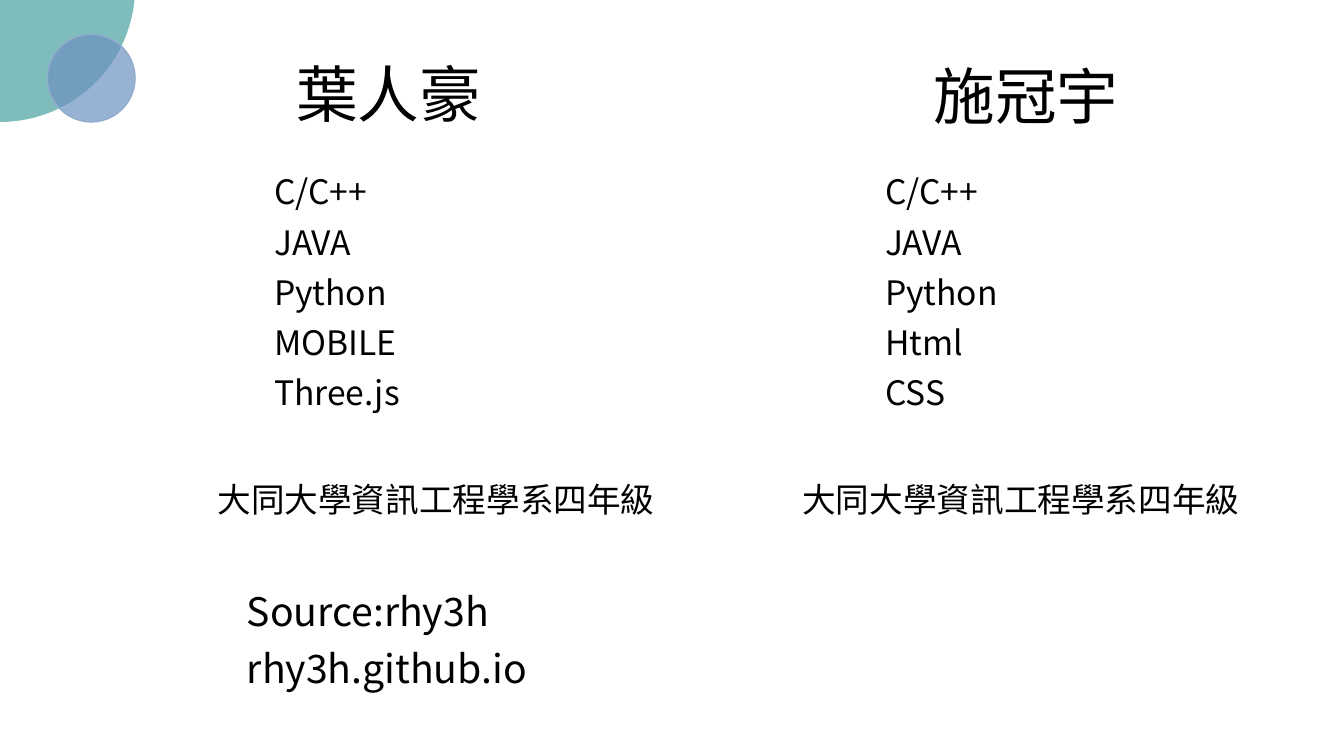
from dataclasses import dataclass

from lxml import etree
from pptx import Presentation, util as u
from pptx.dml import color
from pptx.enum import shapes, text
from pptx.oxml import ns


@dataclass(frozen=True)
class Theme:
    font: str = "Noto Sans CJK SC"
    ink: str = "000000"
    teal: str = "48A2A0"
    blue: str = "6C92C0"
    edge: str = "92ACCD"
    name: int = 44
    body: int = 24
    link: int = 28
    tight: float = 1.08  # line height as a share of type size
    loose: float = 1.2
    gap: int = 10
    alpha: int = 70


THEME = Theme()
SCHOOL = "大同大學資訊工程學系四年級"


def rgb(code):
    return color.RGBColor.from_string(code)


def add_text(slide, box, lines, size, pitch=THEME.tight):
    """Fill a text box with one paragraph per line."""
    frame = slide.shapes.add_textbox(*map(u.Inches, box)).text_frame
    frame.word_wrap = True
    frame.vertical_anchor = text.MSO_ANCHOR.TOP
    for i, line in enumerate(lines):
        para = frame.add_paragraph() if i else frame.paragraphs[0]
        para.line_spacing = u.Pt(round(size * pitch, 1))
        if i:
            para.space_before = u.Pt(THEME.gap)
        run = para.add_run()
        run.text = line
        run.font.size = u.Pt(size)
        run.font.name = THEME.font
        run.font.color.rgb = rgb(THEME.ink)
        # Chinese characters take the same typeface
        east = etree.SubElement(run.font._element, ns.qn("a:ea"))
        east.set("typeface", THEME.font)


def add_disc(slide, left, top, size, fill, edge=None):
    """Draw a see-through circle."""
    disc = slide.shapes.add_shape(
        shapes.MSO_SHAPE.OVAL, *map(u.Inches, (left, top, size, size)))
    disc.shadow.inherit = False
    disc.fill.solid()
    disc.fill.fore_color.rgb = rgb(fill)
    tint = disc._element.spPr.find(".//" + ns.qn("a:srgbClr"))
    etree.SubElement(tint, ns.qn("a:alpha")).set("val", str(THEME.alpha * 1000))
    if edge:
        disc.line.color.rgb = rgb(edge)
        disc.line.width = u.Pt(1)
    else:
        disc.line.fill.background()


def add_corner(slide, right, base):
    """Two discs that share the right and bottom edge of the corner."""
    for size, fill, edge in ((2.68, THEME.teal, None),
                             (0.87, THEME.blue, THEME.edge)):
        add_disc(slide, right - size, base - size, size, fill, edge)


def add_member(slide, left, top, name, shift, skills, indent, links=()):
    """Name, skills, school and links; shift and indent count from left."""
    add_text(slide, (left + shift, top, 2.13, 0.93), [name], THEME.name)
    add_text(slide, (left + indent, 1.69, 3.1, 2.84), skills, THEME.body)
    add_text(slide, (left, 4.7, 4.73, 0.5), [SCHOOL], THEME.body, THEME.loose)
    if links:
        add_text(slide, (left + 0.29, 5.83, 3.1, 1.17), links, THEME.link)


def main():
    deck = Presentation()
    deck.slide_width, deck.slide_height = u.Inches(13.33), u.Inches(7.5)
    slide = deck.slides.add_slide(deck.slide_layouts[6])

    # Corner ornament
    add_corner(slide, 1.34, 1.21)

    # Team members
    shared = ["C/C++", "JAVA", "Python"]
    add_member(slide, 2.06, 0.58, "葉人豪", 0.78,
               shared + ["MOBILE", "Three.js"], 0.56,
               ["Source:rhy3h", "rhy3h.github.io"])
    add_member(slide, 7.86, 0.6, "施冠宇", 1.3,
               shared + ["Html", "CSS"], 0.82)

    deck.save("out.pptx")


if __name__ == "__main__":
    main()
